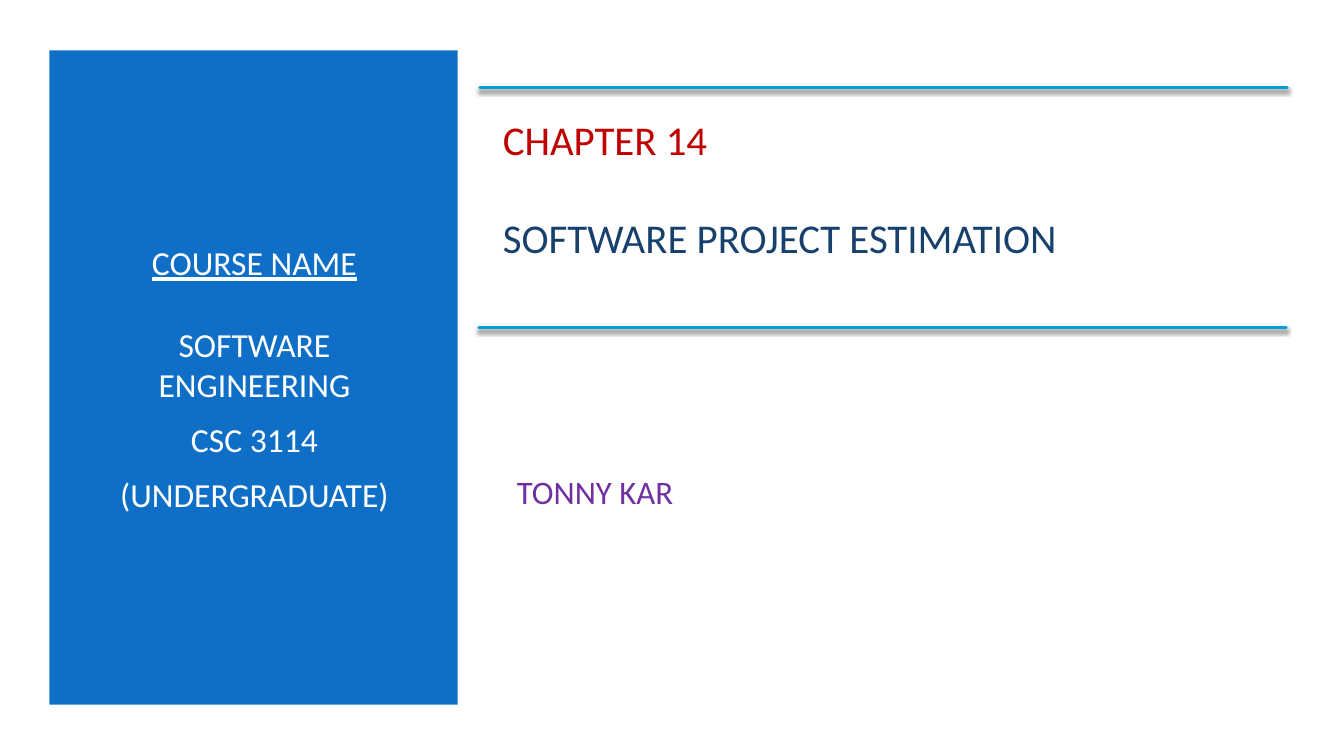
"""Build the chapter opening slide for Software Project Estimation."""
from lxml import etree
from pptx import Presentation
from pptx.dml.color import RGBColor
from pptx.enum.shapes import MSO_CONNECTOR as Connector, MSO_SHAPE as Shape
from pptx.enum.text import MSO_ANCHOR as Anchor, MSO_AUTO_SIZE as AutoSize, PP_ALIGN as Align
from pptx.oxml import parse_xml
from pptx.oxml.ns import nsdecls
from pptx.util import Pt

COLORS = {
    "background": "FFFFFF",
    "panel": "0F6FC6",
    "course": "FFFFFF",
    "chapter": "C00000",
    "subject": "17406D",
    "author": "7030A0",
    "rule": "009DD9",
    "shadow": "000000",
}


def color(name):
    return RGBColor.from_string(COLORS[name])


def write_lines(box, lines, size, align):
    frame = box.text_frame
    frame.word_wrap = True
    frame.auto_size = AutoSize.NONE
    frame.vertical_anchor = Anchor.MIDDLE
    for index, (text, tone, gap) in enumerate(lines):
        para = frame.paragraphs[0] if index == 0 else frame.add_paragraph()
        para.text = text
        para.alignment = align
        para.space_before = Pt(gap)
        para.font.name = "Calibri"
        para.font.size = Pt(size)
        para.font.color.rgb = color(tone)


deck = Presentation()
deck.slide_width, deck.slide_height = Pt(960), Pt(540)
page = deck.slides.add_slide(deck.slide_layouts[5])
page.background.fill.solid()
page.background.fill.fore_color.rgb = color("background")

panel = page.shapes.add_shape(Shape.RECTANGLE, Pt(35.3), Pt(36), Pt(291.6), Pt(467.3))
panel.shadow.inherit = False
panel.fill.solid()
panel.fill.fore_color.rgb = color("panel")
panel.line.fill.background()

course = page.shapes.add_textbox(Pt(60.5), Pt(81), Pt(242.6), Pt(378))
course_lines = [
    ("COURSE NAME", "course", 0),
    ("SOFTWARE ENGINEERING", "course", 29.3),
    ("CSC 3114", "course", 10.5),
    ("(UNDERGRADUATE)", "course", 10.5),
]
write_lines(course, course_lines, 24, Align.CENTER)
course.text_frame.paragraphs[0].font.underline = True

title = page.shapes.title
title.left, title.top, title.width, title.height = Pt(352), Pt(80), Pt(565.2), Pt(108.7)
title_lines = [
    ("CHAPTER 14", "chapter", 0),
    ("SOFTWARE PROJECT ESTIMATION", "subject", 35),
]
write_lines(title, title_lines, 29.2, Align.LEFT)

author = page.shapes.add_textbox(Pt(362.2), Pt(295.2), Pt(479.5), Pt(112.3))
write_lines(author, [("TONNY KAR", "author", 0)], 23.4, Align.LEFT)

for left, top in [(342.7, 62.6), (342, 234)]:
    rule = page.shapes.add_connector(
        Connector.STRAIGHT, Pt(left), Pt(top), Pt(left + 576.7), Pt(top))
    rule.line.color.rgb = color("rule")
    rule.line.width = Pt(2)
    rule.line._get_or_add_ln().set("cap", "rnd")
    effects = parse_xml(f"<a:effectLst {nsdecls('a')}/>")
    shadow = etree.SubElement(
        effects, "{http://schemas.openxmlformats.org/drawingml/2006/main}outerShdw",
        blurRad=str(Pt(3)), dist=str(Pt(2)), dir="5400000", rotWithShape="0")
    shadow.append(parse_xml(
        f'<a:srgbClr {nsdecls("a")} val="{COLORS["shadow"]}"><a:alpha val="55000"/></a:srgbClr>'))
    rule._element.spPr.append(effects)

deck.save("out.pptx")
